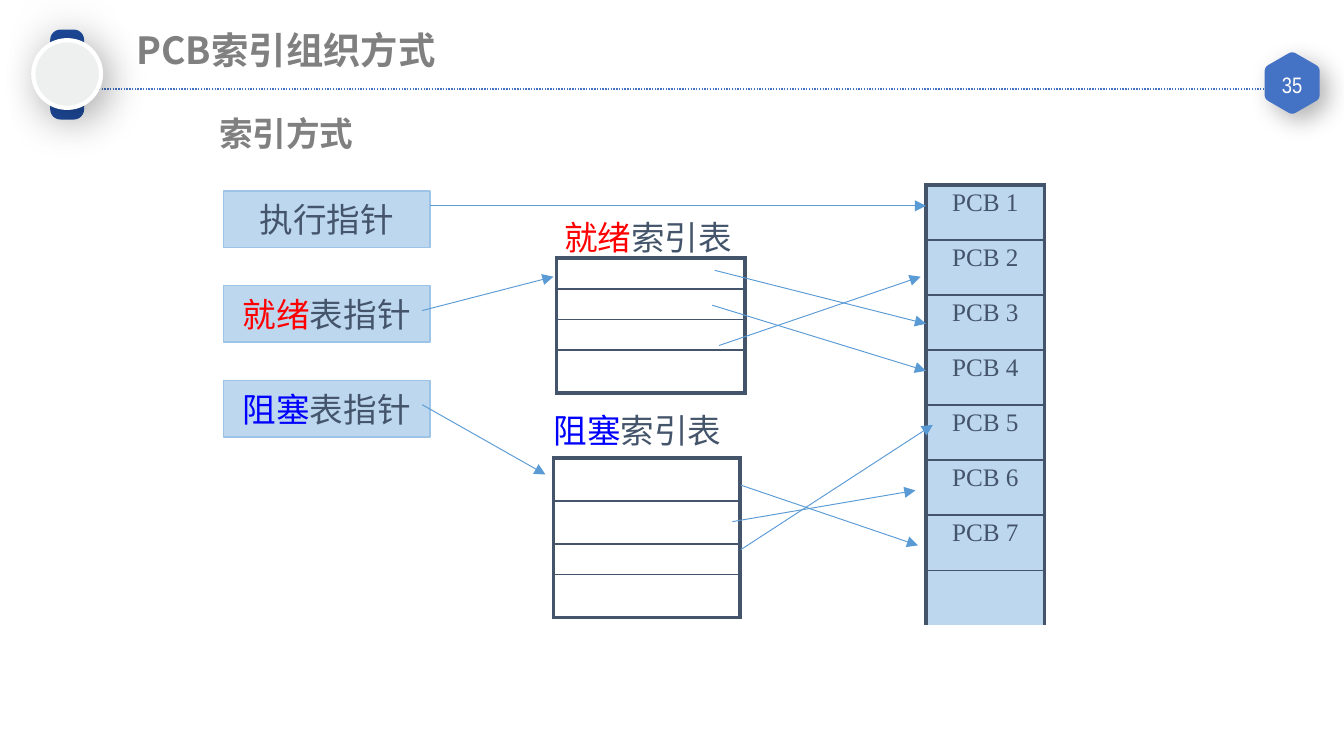
import math

import lxml.etree
import pptx
import pptx.dml.color
import pptx.enum.dml
import pptx.enum.shapes
import pptx.enum.text
import pptx.oxml.ns
import pptx.util

Cm, Pt = pptx.util.Cm, pptx.util.Pt
SHAPE = pptx.enum.shapes.MSO_SHAPE
CENTER = pptx.enum.text.PP_ALIGN.CENTER
MIDDLE = pptx.enum.text.MSO_ANCHOR.MIDDLE
SANS = "Noto Sans CJK SC"
NAVY, RED, BLUE, GREY = "44546A", "FF0000", "0000FF", "808080"
ACCENT, PALE = "4472C4", "BDD7EE"
THICK, THIN = 2.25, 1


def color(hex_value):
    return pptx.dml.color.RGBColor.from_string(hex_value)


def add_xml(parent, tag, **attributes):
    return lxml.etree.SubElement(parent, pptx.oxml.ns.qn(tag), attributes)


def assign(target, values):
    for name, value in values.items():
        setattr(target, name, value)


def write(paragraph, runs, size, font=SANS, bold=False):
    """Add (text, colour) runs that share one font."""
    for text, hue in runs:
        run = paragraph.add_run()
        run.text = text
        assign(run.font, {"size": Pt(size), "name": font, "bold": bold})
        run.font.color.rgb = color(hue)
        add_xml(run.font._element, "a:ea", typeface=font)


def set_insets(frame, across, down):
    assign(frame, {"margin_left": Cm(across), "margin_right": Cm(across),
                   "margin_top": Cm(down), "margin_bottom": Cm(down)})


def add_text(slide, box, runs, size, inset=(0.25, 0.13), bold=False):
    frame = slide.shapes.add_textbox(*map(Cm, box)).text_frame
    frame.word_wrap = True
    set_insets(frame, *inset)
    write(frame.paragraphs[0], runs, size, bold=bold)


def paint(shape, fill, outline=None, width=0.75):
    shape.shadow.inherit = False
    shape.fill.solid()
    shape.fill.fore_color.rgb = color(fill)
    if outline:
        shape.line.color.rgb = color(outline)
        shape.line.width = Pt(width)
    else:
        shape.line.fill.background()


def cast_shadow(shape, opacity, blur, distance, angle):
    effects = shape._element.spPr.find(pptx.oxml.ns.qn("a:effectLst"))
    outer = add_xml(effects, "a:outerShdw", blurRad=str(Pt(blur)), dist=str(Pt(distance)),
                    dir=str(angle * 60000), algn="ctr", rotWithShape="0")
    hue = add_xml(outer, "a:srgbClr", val="000000")
    add_xml(hue, "a:alpha", val=str(opacity * 1000))


def add_line(slide, start, end, hue, width):
    line = slide.shapes.add_connector(
        pptx.enum.shapes.MSO_CONNECTOR.STRAIGHT, *map(Cm, (*start, *end)))
    line.line.color.rgb = color(hue)
    line.line.width = Pt(width)
    add_xml(line._element.spPr, "a:effectLst")
    return line


def add_arrow(slide, start, end):
    arrow = add_line(slide, start, end, "5B9BD5", 0.5)
    outline = arrow._element.spPr.find(pptx.oxml.ns.qn("a:ln"))
    add_xml(outline, "a:tailEnd", type="triangle")


def rounded_hexagon(center_x, center_y, radius, rounding=0.12, steps=4):
    """Points of a hexagon standing on a corner, its corners cut by quadratic curves."""
    corners = [(center_x + radius * math.sin(k * math.pi / 3),
                center_y - radius * math.cos(k * math.pi / 3)) for k in range(6)]
    points = []
    for k, corner in enumerate(corners):
        before, after = ([c + (n - c) * rounding for c, n in zip(corner, neighbour)]
                         for neighbour in (corners[k - 1], corners[(k + 1) % 6]))
        for step in range(steps + 1):
            t = step / steps
            points.append(tuple((1 - t) ** 2 * b + 2 * t * (1 - t) * c + t * t * a
                                for b, c, a in zip(before, corner, after)))
    return [(Cm(x), Cm(y)) for x, y in points]


def add_page_badge(slide, center_x, center_y, number):
    first, *rest = rounded_hexagon(center_x, center_y, 0.58)
    builder = slide.shapes.build_freeform(*first)
    builder.add_line_segments(rest, close=True)
    badge = builder.convert_to_shape()
    paint(badge, ACCENT, ACCENT, 1)
    cast_shadow(badge, 30, 13, 6, 45)
    frame = slide.shapes.add_textbox(
        Cm(center_x - 0.5), Cm(center_y + 0.02 - 0.32), Cm(1), Cm(0.64)).text_frame
    assign(frame, {"word_wrap": True, "vertical_anchor": MIDDLE})
    set_insets(frame, 0.1, 0.1)
    frame.paragraphs[0].alignment = CENTER
    write(frame.paragraphs[0], [(number, "FFFFFF")], 12, "Arial Narrow")


def add_watch(slide, left, top):
    strap = slide.shapes.add_shape(
        SHAPE.ROUNDED_RECTANGLE, Cm(left + 0.32), Cm(top), Cm(0.64), Cm(1.7))
    strap.adjustments[0] = 0.3
    paint(strap, "1D4999")
    cast_shadow(strap, 17, 27, 0, 0)
    dial = slide.shapes.add_shape(
        SHAPE.OVAL, Cm(left), Cm(top + 0.2), Cm(1.28), Cm(1.28))
    paint(dial, "EEF0F0", "FFFFFF", 2.25)
    cast_shadow(dial, 28, 22, 6, 45)


def add_header(slide, left, top, width):
    rule = add_line(slide, (left + 0.2, top + 1.12), (left + width - 0.4, top + 1.12),
                    ACCENT, 0.75)
    rule.line.dash_style = pptx.enum.dml.MSO_LINE.ROUND_DOT
    add_page_badge(slide, left + width + 0.08, top + 1.01, "35")
    add_watch(slide, left, top)
    add_text(slide, (left + 1.7, top - 0.18, 14.63, 1.14),
             [("PCB索引组织方式", GREY)], 20, bold=True)


def add_pointer(slide, left, top, runs):
    pointer = slide.shapes.add_shape(
        SHAPE.RECTANGLE, Cm(left), Cm(top), Cm(3.91), Cm(1.07))
    paint(pointer, PALE, "9DC3E6")
    frame = pointer.text_frame
    assign(frame, {"word_wrap": False, "vertical_anchor": MIDDLE})
    set_insets(frame, 0.2, 0.1)
    frame.paragraphs[0].alignment = CENTER
    write(frame.paragraphs[0], runs, 18)


def set_borders(cell, **widths):
    """Draw the sides L, R, T and B at the given widths; a width of 0 hides the side."""
    properties = cell._tc.get_or_add_tcPr()
    for side, width in widths.items():
        border = add_xml(properties, f"a:ln{side}", w=str(Pt(width)))
        if width:
            add_xml(add_xml(border, "a:solidFill"), "a:srgbClr", val=NAVY)
        else:
            add_xml(border, "a:noFill")


def add_column(slide, left, top, width, heights, labels=(), fill=None, closed=True):
    """A one-column table; an open one has no line below its last row."""
    table = slide.shapes.add_table(len(heights), 1, Cm(left), Cm(top), Cm(width),
                                   Cm(sum(heights))).table
    assign(table, {"first_row": False, "horz_banding": False})
    last = len(heights) - 1
    for index, height in enumerate(heights):
        table.rows[index].height = Cm(height)
        cell = table.cell(index, 0)
        set_insets(cell, 0.2, 0.08)
        end = THICK if closed else 0
        set_borders(cell, L=THICK, R=THICK, T=THIN if index else THICK,
                    B=end if index == last else THIN)
        if fill:
            cell.fill.solid()
            cell.fill.fore_color.rgb = color(fill)
        else:
            cell.fill.background()
        paragraph = cell.text_frame.paragraphs[0]
        if index < len(labels):
            paragraph.alignment = CENTER
            write(paragraph, [(labels[index], NAVY)], 13.5, "Times New Roman")
        else:
            add_xml(paragraph._p, "a:endParaRPr", sz="800")


def add_diagram(slide, left, top):
    pointers = [[("执行指针", NAVY)],
                [("就绪", RED), ("表指针", NAVY)],
                [("阻塞", BLUE), ("表指针", NAVY)]]
    for index, runs in enumerate(pointers):
        add_pointer(slide, left, top + 0.11 + 1.79 * index, runs)

    add_column(slide, left + 13.28, top, 2.24, [1.04] * 8,
               [f"PCB {number}" for number in range(1, 8)], PALE, closed=False)
    add_column(slide, left + 6.3, top + 1.38, 3.56, [0.58, 0.58, 0.58, 0.81])
    add_column(slide, left + 6.24, top + 5.16, 3.53, [0.81, 0.81, 0.58, 0.81])
    for state, hue, x, y in [("就绪", RED, 6.24, 0.51), ("阻塞", BLUE, 6.04, 4.15)]:
        add_text(slide, (left + x, top + y, 4.17, 0.97),
                 [(state, hue), ("索引表", NAVY)], 18, (0.2, 0.1))

    arrows = [(3.91, 0.39, 13.28, 0.39), (3.76, 2.37, 6.24, 1.73),
              (3.76, 4.15, 6.09, 5.47), (9.29, 1.61, 13.28, 2.62),
              (9.24, 2.27, 13.28, 3.51), (9.37, 3.03, 13.18, 1.73),
              (9.78, 5.67, 13.13, 6.81), (9.62, 6.36, 13.08, 5.77),
              (9.78, 6.89, 13.41, 4.53)]
    for x1, y1, x2, y2 in arrows:
        add_arrow(slide, (left + x1, top + y1), (left + x2, top + y2))


def main():
    deck = pptx.Presentation()
    assign(deck, {"slide_width": Cm(25.4), "slide_height": Cm(14.29)})
    slide = deck.slides.add_slide(deck.slide_layouts[6])
    add_header(slide, 0.63, 0.56, 23.71)
    add_text(slide, (3.89, 2.01, 3.73, 1.02), [("索引方式", GREY)], 18, bold=True)
    add_diagram(slide, 4.22, 3.5)
    deck.save("out.pptx")


if __name__ == "__main__":
    main()
